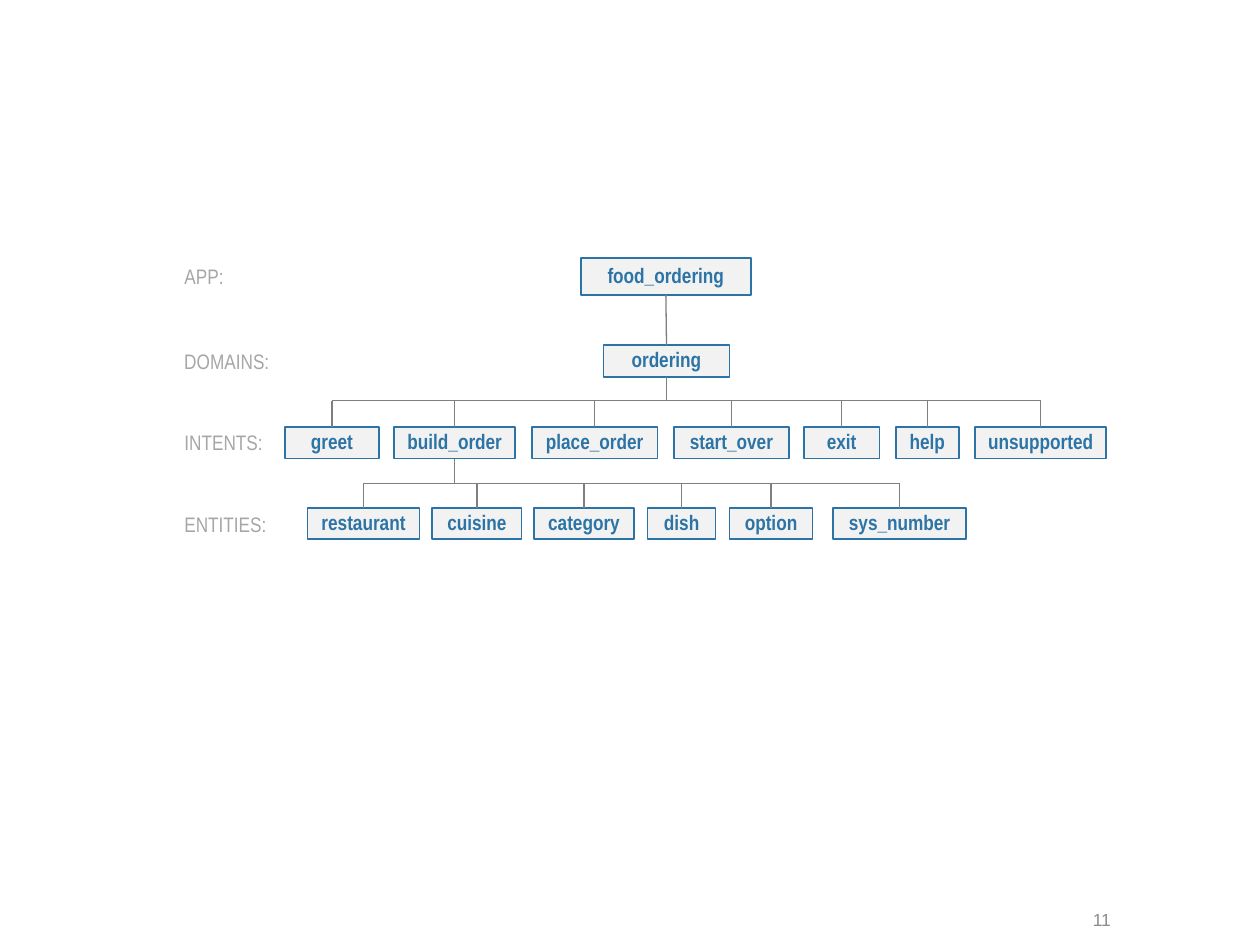
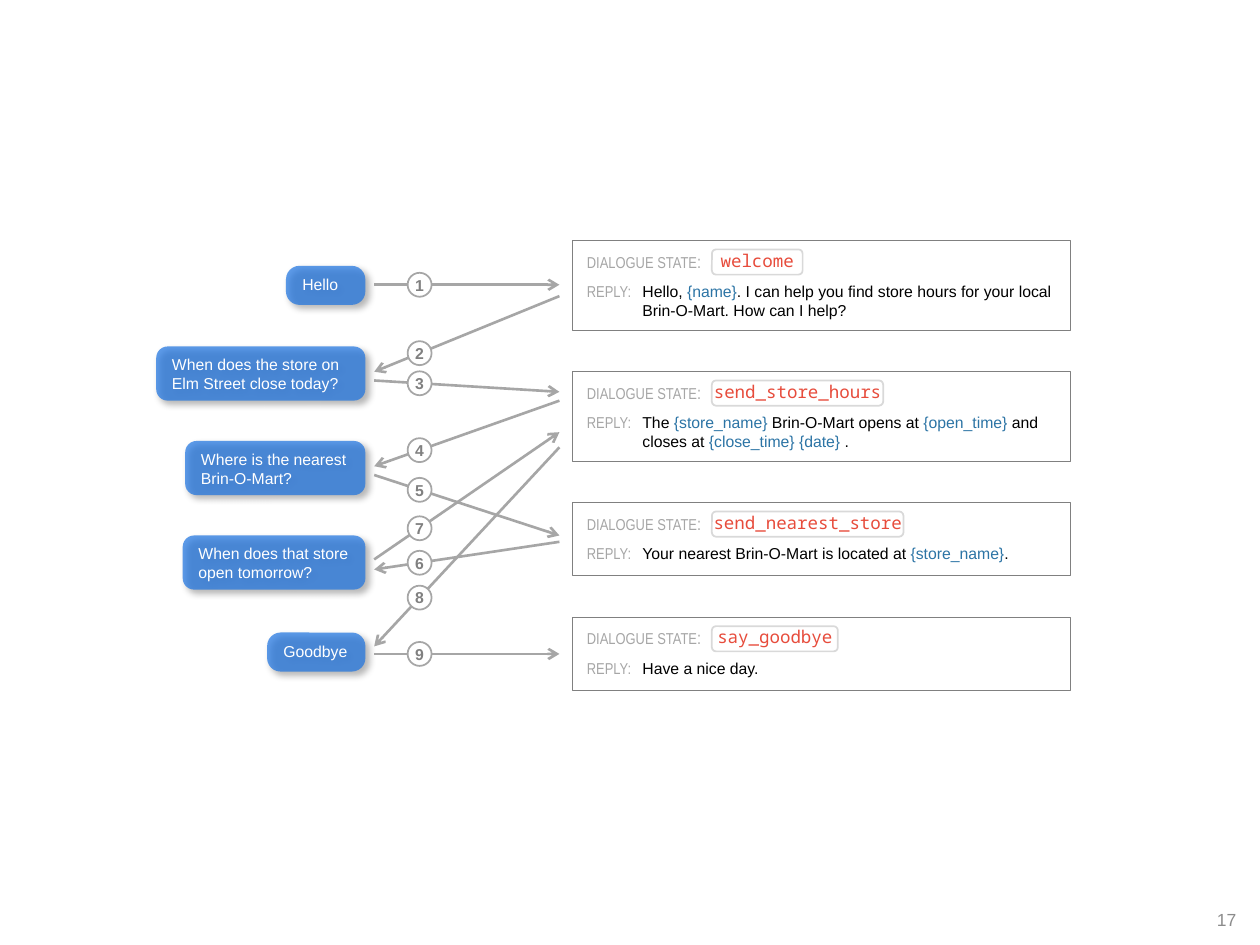
from lxml import etree
from pptx import Presentation
from pptx import util as u
from pptx.dml import color
from pptx.enum import shapes, text
from pptx.oxml import ns

BLUE, RED, BLACK, WHITE = "2C74A5", "E74C3C", "000000", "FFFFFF"
PALE, SILVER, GREY, DARK = "F2F2F2", "A6A6A6", "808080", "7F7F7F"
SANS, SLIM, MONO = "Arial", "Arial Narrow", "Noto Sans Mono"
LEFT, MID, RIGHT = text.PP_ALIGN.LEFT, text.PP_ALIGN.CENTER, text.PP_ALIGN.RIGHT
TOP, CENTRE = text.MSO_ANCHOR.TOP, text.MSO_ANCHOR.MIDDLE
RECT, ROUND, OVAL = (shapes.MSO_SHAPE.RECTANGLE, shapes.MSO_SHAPE.ROUNDED_RECTANGLE,
                     shapes.MSO_SHAPE.OVAL)

LABELS = [("APP:", 2.04, 0.52), ("DOMAINS:", 2.72, 0.88),
          ("INTENTS:", 3.36, 0.83), ("ENTITIES:", 4.01, 0.86)]
INTENTS = [("greet", 2.26, 0.75), ("build_order", 3.13, 0.96),
           ("place_order", 4.22, 1), ("start_over", 5.35, 0.91),
           ("exit", 6.38, 0.6), ("help", 7.11, 0.5), ("unsupported", 7.74, 1.04)]
ENTITIES = [("restaurant", 2.44, 0.89), ("cuisine", 3.43, 0.71),
            ("category", 4.24, 0.79), ("dish", 5.14, 0.54),
            ("option", 5.79, 0.66), ("sys_number", 6.61, 1.06)]

ASKS = [("Hello", 2.11, 0.63, 0.31),
        ("When does the store on\nElm Street close today?", 2.75, 1.66, 0.43),
        ("Where is the nearest\nBrin-O-Mart?", 3.5, 1.43, 0.43),
        ("When does that store open tomorrow?", 4.25, 1.45, 0.43),
        ("Goodbye", 5.02, 0.78, 0.31)]
STATES = [
    ("welcome", 0.72, 0.71,
     ["Hello, ", "{name}", ". I can help you find store hours for your local\n"
      "Brin-O-Mart. How can I help?"]),
    ("send_store_hours", 1.36, 0.71,
     ["The ", "{store_name} ", "Brin-O-Mart opens at ", "{open_time} ",
      "and closes at ", "{close_time} {date} ", "."]),
    ("send_nearest_store", 1.52, 0.58,
     ["Your nearest Brin-O-Mart is located at ", "{store_name}", "."]),
    ("say_goodbye", 1, 0.58, ["Have a nice day."])]
STEPS = [(2.26, 2.26), (2.95, 2.35), (3.02, 3.11), (3.7, 3.18), (3.77, 4.25),
         (4.52, 4.3), (4.44, 3.43), (5.13, 3.55), (5.19, 5.19)]


def rgb(code):
    """Turn a hex string into a colour."""
    return color.RGBColor.from_string(code)


def write(shape, parts, size=12, font=SANS, ink=BLACK, bold=False, align=LEFT,
          anchor=TOP, pad=(0.1, 0.05, 0.1, 0.05), wrap=True, hang=0):
    """Fill a shape with one paragraph made of (text, format) parts."""
    frame = shape.text_frame
    frame.word_wrap, frame.vertical_anchor = wrap, anchor
    (frame.margin_left, frame.margin_top, frame.margin_right,
     frame.margin_bottom) = map(u.Inches, pad)
    para = frame.paragraphs[0]
    para.alignment = align
    if hang:
        props = para._p.get_or_add_pPr()
        props.set("marL", str(u.Inches(hang)))
        props.set("indent", str(-u.Inches(hang)))
    for words, form in [(parts, {})] if isinstance(parts, str) else parts:
        for num, line in enumerate(words.split("\n")):
            if num:
                para.add_line_break()
            run = para.add_run()
            run.text = line
            run.font.size = u.Pt(form.get("size", size))
            run.font.name = form.get("font", font)
            run.font.bold = bold
            run.font.color.rgb = rgb(form.get("ink", ink))


def note(slide, x, y, w, h, parts, **form):
    """Add a text box."""
    box = slide.shapes.add_textbox(*map(u.Inches, (x, y, w, h)))
    write(box, parts, **form)


def block(slide, kind, x, y, w, h, fill=None, edge=None, width=1.0):
    """Add a flat shape with optional fill and outline."""
    shape = slide.shapes.add_shape(kind, *map(u.Inches, (x, y, w, h)))
    shape.shadow.inherit = False
    if fill:
        shape.fill.solid()
        shape.fill.fore_color.rgb = rgb(fill)
    else:
        shape.fill.background()
    if edge:
        shape.line.color.rgb = rgb(edge)
        shape.line.width = u.Pt(width)
    else:
        shape.line.fill.background()
    return shape


def link(slide, x1, y1, x2, y2, ink=DARK, width=0.75, arrow=False):
    """Add a straight line, with an arrowhead at its end if asked."""
    line = slide.shapes.add_connector(shapes.MSO_CONNECTOR.STRAIGHT, x1, y1, x2, y2)
    line.line.color.rgb = rgb(ink)
    line.line.width = u.Pt(width)
    props = line._element.spPr
    if arrow:
        etree.SubElement(props.find(ns.qn("a:ln")), ns.qn("a:tailEnd"), type="arrow")
    etree.SubElement(props, ns.qn("a:effectLst"))
    return line


def node(slide, name, x, y, w, h=0.25):
    """Add a named box of the tree."""
    box = block(slide, RECT, x, y, w, h, PALE, BLUE)
    write(box, name, font=SLIM, ink=BLUE, bold=True, align=MID, anchor=CENTRE,
          pad=(0, 0, 0, 0.03), wrap=False)
    return box


def middle(box):
    """Give the horizontal centre of a box."""
    return box.left + box.width // 2


def branch(slide, root, kids, level):
    """Join a box to the row below through a bar at the given height."""
    bar = u.Inches(level)
    stem = link(slide, middle(root), root.top + root.height, middle(root), bar)
    stem.begin_connect(root, 2)
    link(slide, middle(kids[0]), bar, middle(kids[-1]), bar)
    for kid in kids:
        drop = link(slide, middle(kid), bar, middle(kid), kid.top)
        drop.end_connect(kid, 0)


def bubble(slide, words, y, w, h):
    """Add a translucent question bubble with a soft shadow."""
    shape = block(slide, ROUND, 2.9 - w, y, w, h, "1C73E1")
    shape.adjustments[0] = 0.345 if h < 0.4 else 0.21
    props = shape._element.spPr
    etree.SubElement(props.find(".//" + ns.qn("a:srgbClr")), ns.qn("a:alpha"), val="71000")
    shade = etree.SubElement(props.find(ns.qn("a:effectLst")), ns.qn("a:outerShdw"),
                             blurRad=str(u.Pt(4)), dist=str(u.Pt(3)),
                             dir="2700000", algn="tl", rotWithShape="0")
    tint = etree.SubElement(shade, ns.qn("a:srgbClr"), val=BLACK)
    etree.SubElement(tint, ns.qn("a:alpha"), val="40000")
    write(shape, words, size=9, ink=WHITE, pad=(0.1, 0.04, 0.1, 0.04))


def card(slide, y, state, w, h, reply):
    """Add a dialogue state with its reply."""
    block(slide, RECT, 4.54, y, 3.96, h, edge=GREY, width=0.5)
    note(slide, 4.56, y + 0.03, 1.12, 0.28,
         [("DIALOGUE STATE", {"size": 9}), (":", {})],
         size=10, font=SLIM, ink=SILVER, wrap=False)
    tag = block(slide, ROUND, 5.65, y + 0.07, w, 0.2, WHITE, "D9D9D9")
    write(tag, state, size=10, font=MONO, ink=RED, align=MID, anchor=CENTRE,
          pad=(0, 0, 0, 0.03), wrap=False)
    parts = [(words, {"ink": BLUE if words.startswith("{") else BLACK})
             for words in reply]
    note(slide, 4.56, y + 0.28, 3.92, h - 0.31,
         [("REPLY:\t", {"font": SLIM, "ink": SILVER})] + parts, size=9, hang=0.44)


def page(deck, number, align):
    """Add a blank slide with its page number."""
    slide = deck.slides.add_slide(deck.slide_layouts[6])
    note(slide, 7.58, 7.1, 2.33, 0.4, number, size=10, ink="8C8C8C",
         align=align, anchor=CENTRE)
    return slide


def tree(slide):
    """Draw the app, domain, intent and entity tree."""
    for name, y, w in LABELS:
        note(slide, 1.36, y, w, 0.3, name, font=SLIM, ink=SILVER, align=MID,
             anchor=CENTRE, wrap=False)
    app = node(slide, "food_ordering", 4.61, 2.05, 1.35, 0.29)
    domain = node(slide, "ordering", 4.79, 2.74, 1)
    intents = [node(slide, name, x, 3.39, w) for name, x, w in INTENTS]
    entities = [node(slide, name, x, 4.03, w) for name, x, w in ENTITIES]
    trunk = link(slide, 0, 0, 0, 0)
    trunk.begin_connect(app, 2)
    trunk.end_connect(domain, 0)
    branch(slide, domain, intents, 3.18)
    branch(slide, intents[1], entities, 3.84)


def talk(slide):
    """Draw the questions, the dialogue states and the numbered steps."""
    for ask in ASKS:
        bubble(slide, *ask)
    y = 1.91
    for state, w, h, reply in STATES:
        card(slide, y, state, w, h, reply)
        y += h + 0.33
    near, far, spot, size = 2.97, 4.44, 3.33, 0.19
    for num, (start, end) in enumerate(STEPS, 1):
        ends = [(near, start), (far, end)]
        if num % 2 == 0:
            ends.reverse()
        link(slide, *map(u.Inches, ends[0] + ends[1]), ink=SILVER, width=1.5, arrow=True)
    for num, (start, end) in enumerate(STEPS, 1):
        y = start + (end - start) * (spot - near) / (far - near)
        disc = block(slide, OVAL, spot - size / 2, y - size / 2, size, size, WHITE, SILVER)
        write(disc, str(num), size=9, ink=GREY, bold=True, align=MID, anchor=CENTRE,
              pad=(0, 0, 0, 0), wrap=False)


def main():
    """Build the deck."""
    deck = Presentation()
    deck.slide_width, deck.slide_height = u.Inches(10), u.Inches(7.5)
    tree(page(deck, "11", MID))
    talk(page(deck, "17", RIGHT))
    deck.save("out.pptx")


if __name__ == "__main__":
    main()
